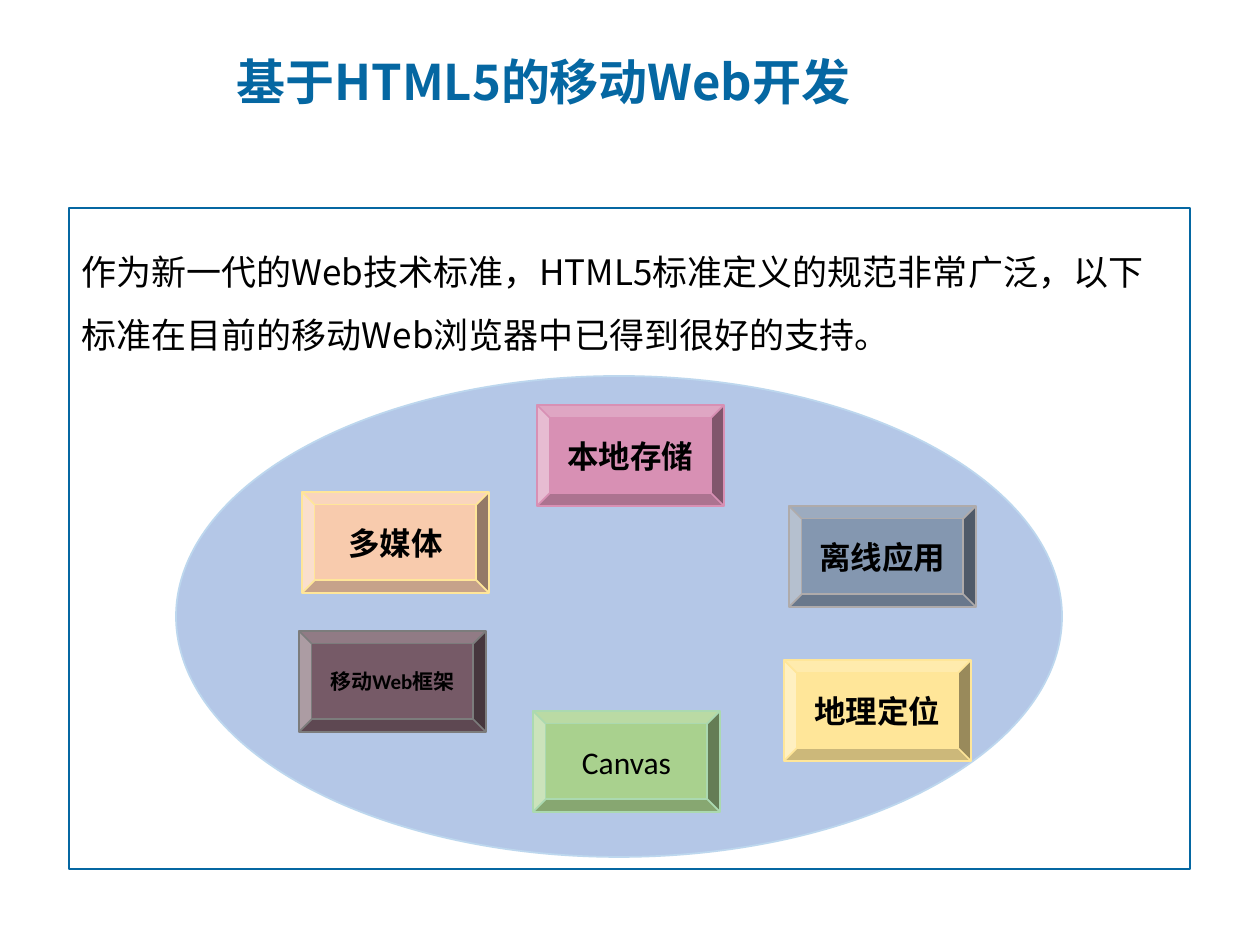
import pptx
import pptx.util
import pptx.dml.color
import pptx.enum.shapes
import pptx.enum.text
import pptx.oxml

RGB = pptx.dml.color.RGBColor
SHAPE = pptx.enum.shapes.MSO_SHAPE
ALIGN = pptx.enum.text.PP_ALIGN
MIDDLE = pptx.enum.text.MSO_ANCHOR.MIDDLE
PX = 914400 / 126

CJK = "Noto Sans CJK SC"
LATIN = "Calibri"

BLUE = RGB(0x05, 0x67, 0xA2)
WHITE = RGB(0xFF, 0xFF, 0xFF)
BLACK = RGB(0x00, 0x00, 0x00)
OVAL_FILL = RGB(0xB4, 0xC7, 0xE7)
OVAL_LINE = RGB(0xBD, 0xD7, 0xEE)
PEACH = RGB(0xF8, 0xCB, 0xAD)
YELLOW = RGB(0xFF, 0xE6, 0x99)
PINK = RGB(0xD8, 0x90, 0xB4)
SLATE = RGB(0x84, 0x97, 0xB0)
SILVER = RGB(0xAF, 0xAB, 0xAB)
PLUM = RGB(0x76, 0x5A, 0x67)
GRAY = RGB(0x7C, 0x7C, 0x7C)
GREEN = RGB(0xA9, 0xD1, 0x8E)
MINT = RGB(0xAB, 0xD9, 0xB0)

TITLE = "基于HTML5的移动Web开发"
INTRO = ("作为新一代的Web技术标准，HTML5标准定义的规范非常广泛，"
         "以下标准在目前的移动Web浏览器中已得到很好的支持。")

# text, left, top, fill, line, size, bold
FEATURES = [
    ("多媒体", 302, 492, PEACH, YELLOW, 18, True),
    ("本地存储", 537, 405, PINK, PINK, 18, True),
    ("离线应用", 789, 506, SLATE, SILVER, 18, True),
    ("地理定位", 784, 660, YELLOW, YELLOW, 18, True),
    ("移动Web框架", 299, 631, PLUM, GRAY, 12, True),
    ("Canvas", 533, 711, GREEN, MINT, 18, False),
]
FEATURE_SIZE = (187, 101)


def px(*lengths):
    return [round(n * PX) for n in lengths]


def write(tf, text, size, color, bold=False, font=CJK, align=ALIGN.LEFT):
    tf.word_wrap = True
    tf.text = text
    p = tf.paragraphs[0]
    p.alignment = align
    r = p.runs[0]
    r.font.size = pptx.util.Pt(size)
    r.font.bold = bold
    r.font.color.rgb = color
    r.font.name = font
    # East Asian characters take their typeface from a:ea
    ea = pptx.oxml.parse_xml(
        '<a:ea xmlns:a="http://schemas.openxmlformats.org/drawingml/2006/main"'
        f' typeface="{CJK}"/>')
    r.font._element.append(ea)
    return p


def add_shape(s, kind, box, fill, line, width=1):
    sp = s.shapes.add_shape(kind, *px(*box))
    sp.shadow.inherit = False
    sp.fill.solid()
    sp.fill.fore_color.rgb = fill
    sp.line.color.rgb = line
    sp.line.width = pptx.util.Pt(width)
    return sp


def main():
    prs = pptx.Presentation()
    prs.slide_width, prs.slide_height = px(1260, 945)
    s = prs.slides.add_slide(prs.slide_layouts[5])

    title = s.shapes.title
    title.left, title.top, title.width, title.height = px(224, 28, 1036, 106)
    write(title.text_frame, TITLE, 28, BLUE, bold=True)
    title.text_frame.vertical_anchor = MIDDLE
    title.text_frame.auto_size = pptx.enum.text.MSO_AUTO_SIZE.NONE

    add_shape(s, SHAPE.RECTANGLE, (69, 208, 1121, 661), WHITE, BLUE, 0.75)
    intro = s.shapes.add_textbox(*px(69, 223, 1121, 140))
    write(intro.text_frame, INTRO, 20, BLACK).line_spacing = 1.5

    add_shape(s, SHAPE.OVAL, (176, 376, 886, 481), OVAL_FILL, OVAL_LINE)
    for text, left, top, fill, line, size, bold in FEATURES:
        sp = add_shape(s, SHAPE.BEVEL, (left, top, *FEATURE_SIZE), fill, line)
        tf = sp.text_frame
        write(tf, text, size, BLACK, bold, LATIN, ALIGN.CENTER)
        tf.vertical_anchor = MIDDLE
        tf.margin_left, tf.margin_right = px(4, 4)

    prs.save("out.pptx")


if __name__ == "__main__":
    main()
